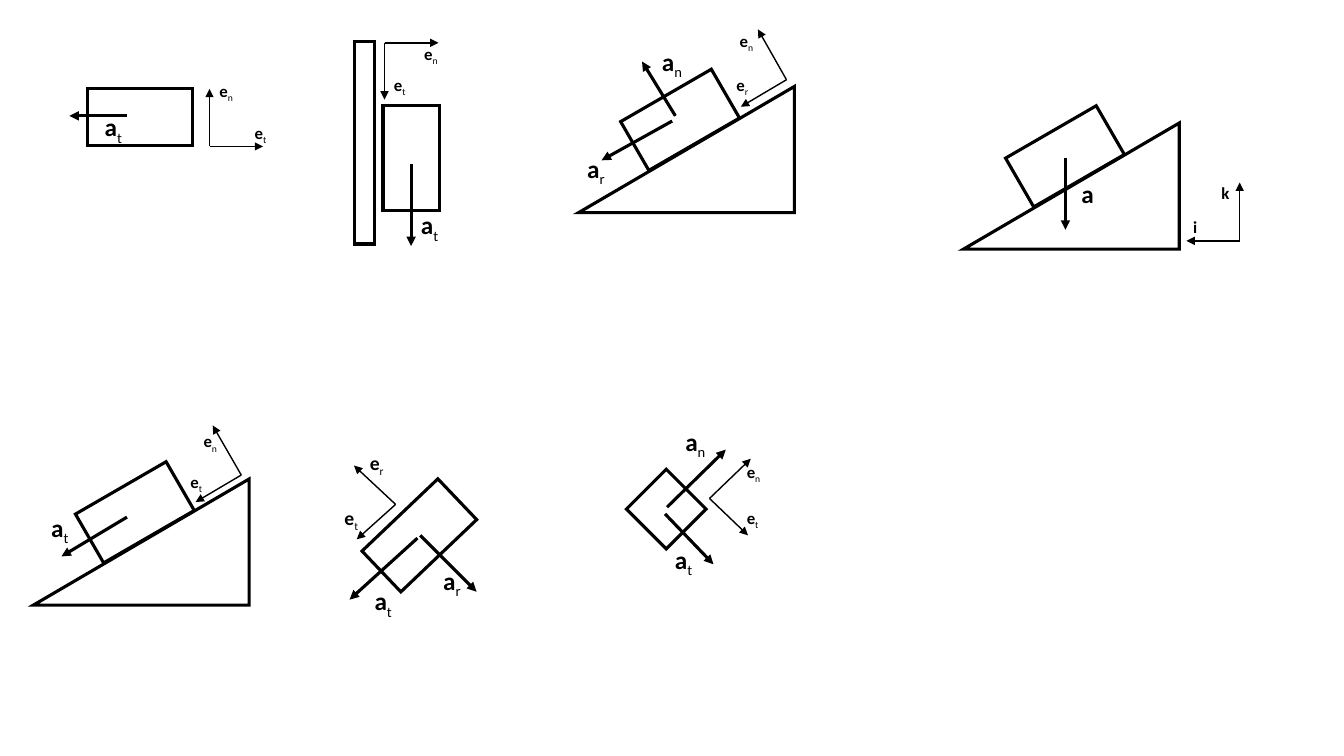
from pptx import Presentation
from pptx.dml.color import RGBColor
from pptx.enum.shapes import MSO_CONNECTOR, MSO_SHAPE
from pptx.enum.text import MSO_AUTO_SIZE
from pptx.oxml.ns import qn
from pptx.util import Cm, Pt
from lxml import etree

BLACK = RGBColor(0, 0, 0)
RECT = MSO_SHAPE.RECTANGLE
WEDGE = MSO_SHAPE.RIGHT_TRIANGLE
PEAK = MSO_SHAPE.ISOSCELES_TRIANGLE
STRAIGHT = MSO_CONNECTOR.STRAIGHT
FIT = MSO_AUTO_SIZE.SHAPE_TO_FIT_TEXT
THICK, THIN = 2.25, 1
LONG, SHORT = 2.64, 1.42  # block sides, cm


def stroke(item, width, tag, **attrs):
    """Black line, plus one extra line property."""
    item.line.color.rgb = BLACK
    item.line.width = Pt(width)
    ln = item._element.spPr.find(qn("a:ln"))
    etree.SubElement(ln, qn(tag), **attrs)


def shape(slide, kind, x, y, w, h, turn=0):
    item = slide.shapes.add_shape(kind, Cm(x), Cm(y), Cm(w), Cm(h))
    item.rotation = turn
    item.shadow.inherit = False
    item.fill.background()
    stroke(item, THICK, "a:miter", lim="800000")
    return item


def block(slide, x, y, turn=0, w=LONG):
    shape(slide, RECT, x, y, w, SHORT, turn)


def slope(slide, x, y):
    """Block resting on a 30 degree incline."""
    block(slide, x + 1.24, y + 0.13, 330)
    shape(slide, PEAK, x, y, 5.44, 3.18).adjustments[0] = 1


def arrow(slide, start, end, width=THICK):
    ends = [Cm(v) for v in (*start, *end)]
    item = slide.shapes.add_connector(STRAIGHT, *ends)
    stroke(item, width, "a:tailEnd", type="triangle")
    etree.SubElement(item._element.spPr, qn("a:effectLst"))


def axes(slide, base, *tips):
    for tip in tips:
        arrow(slide, base, tip, THIN)


def label(slide, text, x, y, w, size, wrap):
    """Bold letter followed by an optional subscript."""
    box = slide.shapes.add_textbox(Cm(x), Cm(y), Cm(w), Cm(size * 0.057))
    frame = box.text_frame
    frame.word_wrap = wrap
    frame.auto_size = FIT
    for i, part in enumerate(text):
        run = frame.paragraphs[0].add_run()
        run.text = part
        style = {"name": "Calibri", "size": Pt(size), "bold": i == 0}
        for key, value in style.items():
            setattr(run.font, key, value)
        run.font.color.rgb = BLACK
        if i:
            run._r.get_or_add_rPr().set("baseline", "-25000")


def force(slide, text, x, y, w=0.97):
    label(slide, text, x, y, w, 18, False)


def unit(slide, text, x, y, w=0.97, size=12):
    label(slide, text, x, y, w, size, True)


def flat(s):
    block(s, 2.21, 2.24)
    arrow(s, (3.2, 2.92), (1.75, 2.92))
    force(s, "at", 2.39, 2.69)
    axes(s, (5.28, 3.69), (5.28, 2.24), (6.63, 3.69))
    unit(s, "en", 5.28, 1.9)
    unit(s, "et", 6.17, 2.97)


def wall(s):
    shape(s, RECT, 8.94, 1.04, 0.51, 5.11)
    block(s, 9.04, 3.28, 90)
    arrow(s, (10.36, 4.14), (10.36, 6.2))
    force(s, "at", 10.36, 5.16)
    axes(s, (9.69, 1.08), (9.69, 2.51), (11.05, 1.08))
    unit(s, "et", 9.68, 1.75)
    unit(s, "en", 10.44, 0.97)


def ramp(s):
    slope(s, 14.58, 2.18)
    arrow(s, (17.02, 2.92), (16.18, 1.55))
    arrow(s, (16.94, 3.05), (15.16, 4.04))
    force(s, "an", 16.43, 1.04, 1.04)
    force(s, "ar", 14.55, 3.73)
    axes(s, (19.82, 2.01), (19.1, 0.74), (18.67, 2.69))
    unit(s, "er", 18.31, 1.75)
    unit(s, "en", 18.39, 0.64)


def drop(s):
    slope(s, 24.28, 3.1)
    arrow(s, (26.85, 3.99), (26.85, 5.79))
    force(s, "a", 27, 4.37, 0.84)
    axes(s, (31.24, 6.07), (31.24, 4.6), (29.9, 6.07))
    unit(s, "k", 30.53, 4.47, 0.64)
    unit(s, "i", 29.82, 5.33, 0.64)


def slide_down(s):
    slope(s, 0.84, 12.07)
    arrow(s, (3.2, 13.03), (1.55, 14.02))
    force(s, "at", 1.04, 12.78)
    axes(s, (6.08, 11.97), (5.36, 10.72), (4.93, 12.65))
    unit(s, "en", 4.88, 10.74)
    unit(s, "et", 4.55, 11.76)


def tilt(s):
    block(s, 9.25, 12.78, 316.4)
    arrow(s, (10.52, 13.56), (8.81, 15.11))
    arrow(s, (10.59, 13.49), (12.01, 14.91))
    force(s, "at", 9.19, 14.63)
    force(s, "ar", 10.92, 14.12)
    axes(s, (9.97, 12.71), (8.92, 11.73), (8.99, 13.59))
    unit(s, "er", 9.07, 11.23, 1.12, 14)
    unit(s, "et", 8.43, 12.62, 1.12, 14)


def square(s):
    block(s, 16.08, 12.12, 45, SHORT)
    arrow(s, (16.81, 12.78), (18.29, 11.33))
    arrow(s, (16.76, 12.95), (17.98, 14.22))
    force(s, "an", 17.02, 10.62, 1.04)
    force(s, "at", 16.76, 13.59)
    axes(s, (17.88, 12.56), (18.92, 11.56), (18.85, 13.49))
    unit(s, "en", 18.57, 11.51)
    unit(s, "et", 18.57, 12.67)


def main():
    deck = Presentation()
    deck.slide_width, deck.slide_height = Cm(33.87), Cm(19.05)
    page = deck.slides.add_slide(deck.slide_layouts[6])
    for draw in (flat, wall, ramp, drop, slide_down, tilt, square):
        draw(page)
    deck.save("out.pptx")


main()
